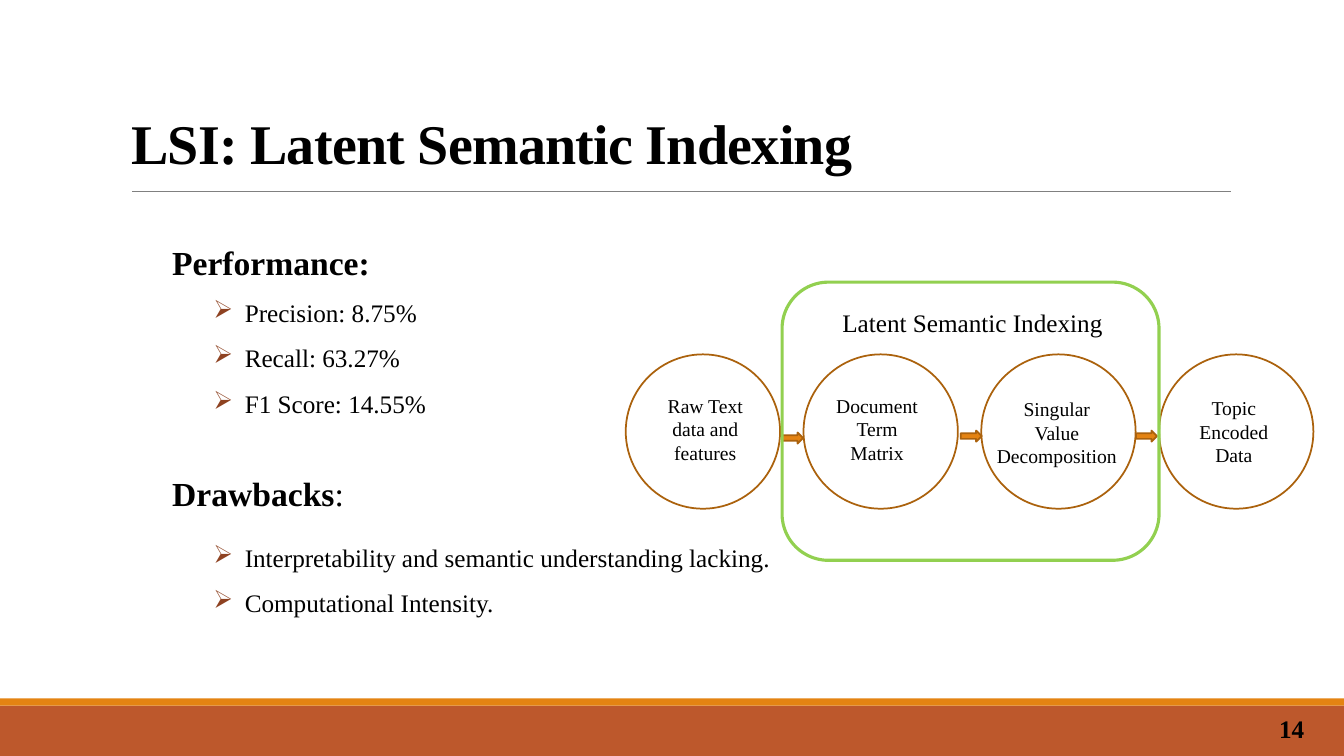
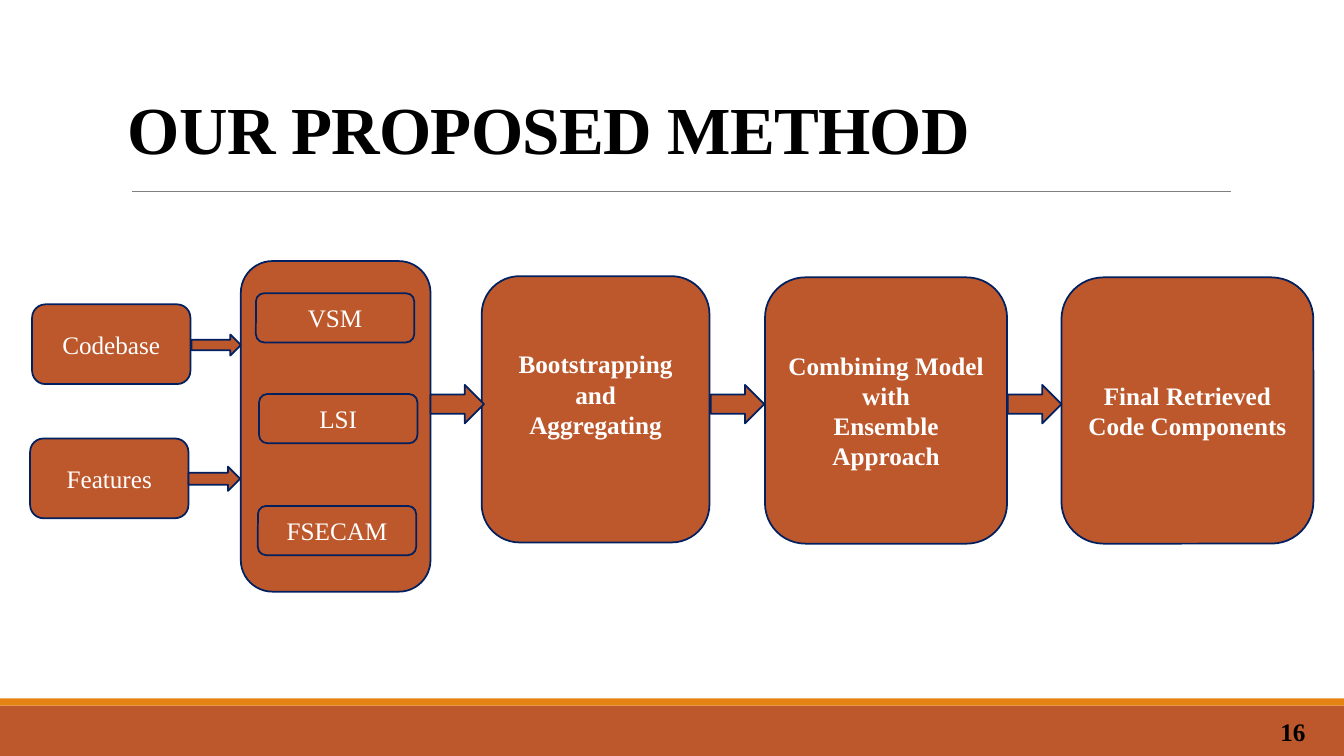
import dataclasses

import pptx
import pptx.dml.color
import pptx.enum.shapes
import pptx.enum.text
import pptx.oxml.ns
import pptx.util
from lxml import etree

Cm = pptx.util.Cm
Pt = pptx.util.Pt
qualified = pptx.oxml.ns.qn
Align = pptx.enum.text.PP_ALIGN
Anchor = pptx.enum.text.MSO_ANCHOR
Preset = pptx.enum.shapes.MSO_SHAPE


@dataclasses.dataclass(frozen=True)
class Theme:
    font: str = "Times New Roman"
    black: str = "000000"
    white: str = "FFFFFF"
    rust: str = "BD582C"
    orange: str = "E48312"
    brown: str = "AB620D"
    bullet: str = "8E4221"
    navy: str = "002060"
    green: str = "92D050"
    gray: str = "808080"
    heading_size: int = 24
    body_size: int = 18
    label_size: int = 14
    hairline: float = 0.5
    outline: float = 1.25
    frame_outline: float = 2.25


THEME = Theme()


def rgb(value):
    return pptx.dml.color.RGBColor.from_string(value)


def add_bullet(paragraph):
    properties = paragraph._p.get_or_add_pPr()
    properties.set("marL", str(Cm(0.79)))
    properties.set("indent", str(-Cm(0.79)))
    color = etree.SubElement(properties, qualified("a:buClr"))
    etree.SubElement(color, qualified("a:srgbClr")).set("val", THEME.bullet)
    etree.SubElement(properties, qualified("a:buChar")).set("char", "➢")


def write_text(shape, text, *, size=THEME.body_size, color=THEME.black, bold=False,
               align=Align.LEFT, anchor=Anchor.TOP, line_spacing=None,
               letter_spacing=None, bullets=False, plain_tail="", bottom=0.13):
    """Write one paragraph per line of text; plain_tail ends each without bold."""
    frame = shape.text_frame
    frame.word_wrap = True
    frame.auto_size = pptx.enum.text.MSO_AUTO_SIZE.NONE
    frame.vertical_anchor = anchor
    frame.margin_bottom = Cm(bottom)
    for index, line in enumerate(text.split("\n")):
        paragraph = frame.add_paragraph() if index else frame.paragraphs[0]
        paragraph.alignment = align
        if line_spacing:
            paragraph.line_spacing = line_spacing
        if bullets:
            add_bullet(paragraph)
        for content, weight in ((line, bold), (plain_tail, False)):
            if not content:
                continue
            run = paragraph.add_run()
            run.text = content
            run.font.name = THEME.font
            run.font.size = Pt(size)
            run.font.bold = weight
            run.font.color.rgb = rgb(color)
            if letter_spacing:
                run._r.get_or_add_rPr().set("spc", str(round(letter_spacing * 100)))


class Deck:
    """Holds the theme and the slide being drawn; places are in centimetres."""

    def __init__(self, theme):
        self.theme = theme
        self.presentation = pptx.Presentation()
        self.presentation.slide_width = Cm(33.87)
        self.presentation.slide_height = Cm(19.05)
        self.slide = None

    def start_slide(self, title, place, size, anchor, number, number_place):
        self.slide = self.presentation.slides.add_slide(
            self.presentation.slide_layouts.get_by_name("Title Only"))
        placeholder = self.slide.shapes.title
        (placeholder.left, placeholder.top,
         placeholder.width, placeholder.height) = map(Cm, place)
        write_text(placeholder, title, size=size, bold=True, anchor=anchor,
                   line_spacing=0.85, letter_spacing=-0.5)
        self.shape(Preset.RECTANGLE, (0, 17.78, 33.87, 1.27), fill=self.theme.rust)
        self.shape(Preset.RECTANGLE, (0, 17.6, 33.87, 0.18), fill=self.theme.orange)
        self.rule(3.33, 31.01, 4.83)
        self.text(number_place, number, bold=True, align=Align.RIGHT,
                  anchor=Anchor.MIDDLE)

    def rule(self, left, right, top):
        connector = self.slide.shapes.add_connector(
            pptx.enum.shapes.MSO_CONNECTOR.STRAIGHT,
            Cm(left), Cm(top), Cm(right), Cm(top))
        connector.line.color.rgb = rgb(self.theme.gray)
        connector.line.width = Pt(self.theme.hairline)
        etree.SubElement(connector._element.spPr, qualified("a:effectLst"))

    def shape(self, preset, place, fill=None, line=None, width=THEME.outline):
        shape = self.slide.shapes.add_shape(preset, *map(Cm, place))
        shape.shadow.inherit = False
        if fill:
            shape.fill.solid()
            shape.fill.fore_color.rgb = rgb(fill)
        else:
            shape.fill.background()
        if line:
            shape.line.color.rgb = rgb(line)
            shape.line.width = Pt(width)
        else:
            shape.line.fill.background()
        return shape

    def text(self, place, text, **text_format):
        box = self.slide.shapes.add_textbox(*map(Cm, place))
        write_text(box, text, **text_format)

    def heading(self, place, text, **text_format):
        self.text(place, text, size=self.theme.heading_size, bold=True, **text_format)

    def bullets(self, place, text):
        self.text(place, text, bullets=True, line_spacing=1.5)

    def box(self, place, text="", **text_format):
        shape = self.shape(Preset.ROUNDED_RECTANGLE, place,
                           fill=self.theme.rust, line=self.theme.navy)
        if text:
            write_text(shape, text, color=self.theme.white, align=Align.CENTER,
                       anchor=Anchor.MIDDLE, **text_format)

    def arrow(self, place, fill=THEME.rust, line=THEME.navy):
        self.shape(Preset.RIGHT_ARROW, place, fill=fill, line=line)


def build_indexing_slide(deck):
    theme = deck.theme
    deck.start_slide("LSI: Latent Semantic Indexing", (3.05, 1.7, 30.18, 4.04), 40,
                     Anchor.MIDDLE, "14", (31.6, 17.83, 1.52, 1.04))

    diameter, pitch, first_left = 3.89, 4.48, 15.77
    # label, label width, label shift from the circle's centre, label top
    steps = [
        ("Raw Text data and features", 2.84, 0.06, 9.8),
        ("Document Term Matrix", 2.84, -0.09, 9.8),
        ("Singular\nValue Decomposition", 3.76, -0.04, 9.88),
        ("Topic Encoded Data", 2.84, -0.06, 9.86),
    ]
    for index, (label, width, shift, top) in enumerate(steps):
        left = first_left + index * pitch
        deck.shape(Preset.OVAL, (left, 8.93, diameter, diameter), line=theme.brown)
        label_left = left + (diameter - width) / 2 + shift
        deck.text((label_left, top, width, 2.06), label,
                  size=theme.label_size, align=Align.CENTER)
    for left, top in ((19.71, 10.9), (24.21, 10.85), (28.63, 10.85)):
        deck.arrow((left, top, 0.53, 0.28), fill=theme.orange, line=theme.brown)

    deck.shape(Preset.ROUNDED_RECTANGLE, (19.71, 7.11, 9.5, 7.01),
               line=theme.green, width=theme.frame_outline)
    deck.text((20.98, 7.62, 7.09, 1.02), "Latent Semantic Indexing")

    deck.heading((4.09, 5.97, 5.59, 2.31), "Performance:")
    deck.bullets((5.13, 6.99, 8.36, 3.71),
                 "Precision: 8.75%\nRecall: 63.27%\nF1 Score: 14.55%")
    deck.heading((4.09, 11.79, 6.86, 2.31), "Drawbacks", plain_tail=":")
    deck.bullets((5.13, 13.16, 15.11, 2.57),
                 "Interpretability and semantic understanding lacking.\n"
                 "Computational Intensity.")


def build_method_slide(deck):
    deck.start_slide("OUR PROPOSED METHOD", (2.97, 1.17, 28.04, 3.2), 48,
                     Anchor.BOTTOM, "16", (31.65, 17.96, 1.5, 0.94))

    for label, left, top in (("Codebase", 0.81, 7.67), ("Features", 0.76, 11.05)):
        deck.box((left, top, 3.99, 2.01), label)

    deck.box((6.07, 6.58, 4.78, 8.33))
    models = (("VSM", 6.45, 7.39), ("LSI", 6.53, 9.93), ("FSECAM", 6.5, 12.75))
    for label, left, top in models:
        deck.box((left, top, 3.99, 1.24), label)

    stages = [
        ("Bootstrapping and\nAggregating", 12.14, 6.96, 5.74, 0.89),
        ("Combining Model\nwith\nEnsemble Approach", 19.28, 6.99, 6.1, 0.13),
        ("Final Retrieved Code Components", 26.75, 6.99, 6.35, 0.13),
    ]
    for label, left, top, width, bottom in stages:
        deck.box((left, top, width, 6.71), label, bold=True, bottom=bottom)

    for place in ((4.83, 8.43, 1.24, 0.53), (4.75, 11.76, 1.3, 0.61)):
        deck.arrow(place)
    for left in (10.85, 17.91, 25.4):
        deck.arrow((left, 9.7, 1.35, 0.97))


def main():
    deck = Deck(THEME)
    build_indexing_slide(deck)
    build_method_slide(deck)
    deck.presentation.save("out.pptx")


if __name__ == "__main__":
    main()
